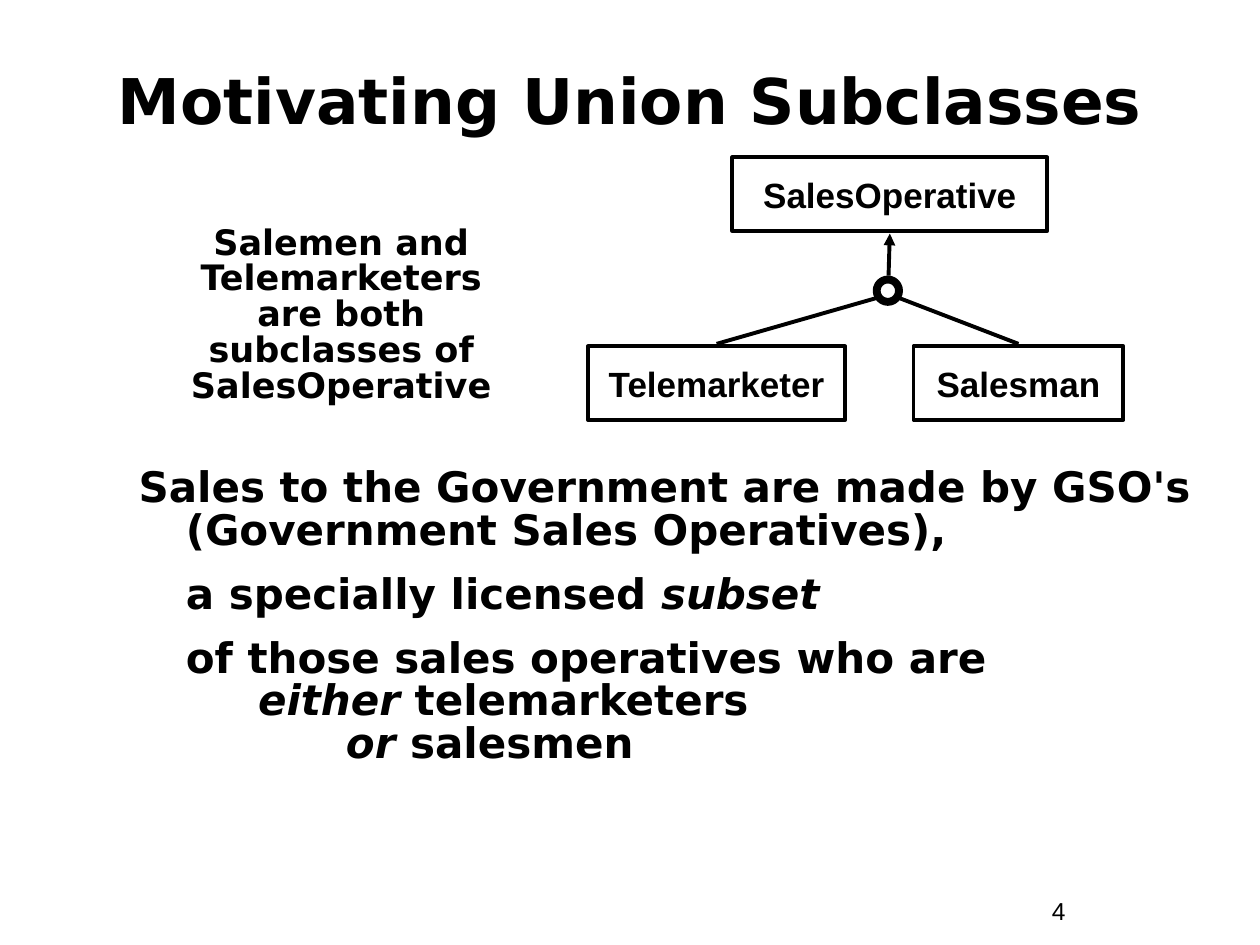
"""Build the slide on motivating union subclasses."""
from dataclasses import dataclass
from typing import NamedTuple

from lxml import etree
from pptx import Presentation
from pptx.dml.color import RGBColor
from pptx.enum.shapes import MSO_CONNECTOR, MSO_SHAPE
from pptx.enum.text import MSO_ANCHOR, MSO_AUTO_SIZE, PP_ALIGN
from pptx.oxml.ns import qn
from pptx.shapes.autoshape import Shape
from pptx.slide import Slide
from pptx.util import Emu, Pt

RECTANGLE, OVAL = MSO_SHAPE.RECTANGLE, MSO_SHAPE.OVAL
STRAIGHT = MSO_CONNECTOR.STRAIGHT
TOP, MIDDLE = MSO_ANCHOR.TOP, MSO_ANCHOR.MIDDLE
LEFT, CENTER = PP_ALIGN.LEFT, PP_ALIGN.CENTER
FIXED = MSO_AUTO_SIZE.NONE
EMU_PER_PX = 9525


@dataclass(frozen=True)
class Theme:
    ink: RGBColor = RGBColor(0, 0, 0)
    heading_font: str = "DejaVu Sans"
    label_font: str = "Arial"
    title_size: int = 36
    body_size: int = 24
    label_size: int = 20
    number_size: int = 14
    line_width: float = 2.25
    ring_width: float = 4.5
    tight: float = 0.85


class Area(NamedTuple):
    left: int
    top: int
    width: int
    height: int

    @property
    def center(self) -> int:
        return self.left + self.width // 2

    @property
    def bottom(self) -> int:
        return self.top + self.height


class Point(NamedTuple):
    x: int
    y: int


class Span(NamedTuple):
    text: str
    italic: bool = False


class Line(NamedTuple):
    spans: tuple[Span, ...]
    margin: int = 0
    indent: int = 0
    before: int = 0


class Style(NamedTuple):
    font: str
    size: int
    bold: bool = True
    align: PP_ALIGN = LEFT
    anchor: MSO_ANCHOR = TOP
    spacing: float = 1.0
    wrap: bool = True


class ClassBox(NamedTuple):
    name: str
    area: Area


THEME = Theme()
TITLE = Style(THEME.heading_font, THEME.title_size, align=CENTER, anchor=MIDDLE)
BODY = Style(THEME.heading_font, THEME.body_size, spacing=THEME.tight)
REMARK = Style(THEME.heading_font, THEME.label_size, align=CENTER, spacing=THEME.tight)
LABEL = Style(THEME.label_font, THEME.label_size, align=CENTER, anchor=MIDDLE, wrap=False)
NUMBER = Style(THEME.label_font, THEME.number_size, bold=False)

PARENT = ClassBox("SalesOperative", Area(558, 120, 240, 56))
CHILDREN = (
    ClassBox("Telemarketer", Area(448, 264, 196, 56)),
    ClassBox("Salesman", Area(696, 264, 160, 56)),
)
RING = Area(668, 213, 17, 17)
STATEMENT = (
    Line((Span("Sales to the Government are made by GSO's (Government Sales Operatives),"),), 36, -36),
    Line((Span("a specially licensed "), Span("subset", True)), 36, before=12),
    Line((Span("of those sales operatives who are"),), 36, before=12),
    Line((Span("either", True), Span(" telemarketers")), 91),
    Line((Span("or", True), Span(" salesmen")), 158),
)


def px(length: int) -> Emu:
    return Emu(length * EMU_PER_PX)


def place(shape: Shape, area: Area) -> None:
    shape.left, shape.top, shape.width, shape.height = map(px, area)


def write(shape: Shape, lines: tuple[Line, ...], style: Style) -> None:
    frame = shape.text_frame
    frame.auto_size = FIXED
    frame.word_wrap = style.wrap
    frame.vertical_anchor = style.anchor
    for index, line in enumerate(lines):
        para = frame.add_paragraph() if index else frame.paragraphs[0]
        para.alignment = style.align
        para.line_spacing = style.spacing
        para.space_before = Pt(line.before)
        properties = para._p.get_or_add_pPr()
        properties.set("marL", str(px(line.margin)))
        properties.set("indent", str(px(line.indent)))
        etree.SubElement(properties, qn("a:buNone"))
        for span in line.spans:
            run = para.add_run()
            run.text = span.text
            run.font.name = style.font
            run.font.size = Pt(style.size)
            run.font.bold = style.bold
            run.font.italic = span.italic
            run.font.color.rgb = THEME.ink


def write_plain(shape: Shape, text: str, style: Style) -> None:
    write(shape, (Line((Span(text),)),), style)


def add_text(slide: Slide, area: Area, text: str, style: Style) -> None:
    write_plain(slide.shapes.add_textbox(*map(px, area)), text, style)


def add_outline(slide: Slide, kind: MSO_SHAPE, area: Area, width: float) -> Shape:
    shape = slide.shapes.add_shape(kind, *map(px, area))
    shape.shadow.inherit = False
    shape.fill.background()
    shape.line.color.rgb = THEME.ink
    shape.line.width = Pt(width)
    return shape


def add_class(slide: Slide, box: ClassBox) -> None:
    shape = add_outline(slide, RECTANGLE, box.area, THEME.line_width)
    write_plain(shape, box.name, LABEL)


def add_link(slide: Slide, start: Point, end: Point, arrow: bool = False) -> None:
    link = slide.shapes.add_connector(STRAIGHT, *map(px, start + end))
    link.line.color.rgb = THEME.ink
    link.line.width = Pt(THEME.line_width)
    if arrow:
        etree.SubElement(link.line._get_or_add_ln(), qn("a:tailEnd"), type="triangle")
    etree.SubElement(link._element.spPr, qn("a:effectLst"))


def main() -> None:
    deck = Presentation()
    deck.slide_width, deck.slide_height = px(960), px(720)
    slide = deck.slides.add_slide(deck.slide_layouts[1])
    title, body = slide.placeholders
    place(title, Area(32, 32, 896, 88))
    write_plain(title, "Motivating Union Subclasses", TITLE)
    place(body, Area(96, 352, 832, 248))
    write(body, STATEMENT, BODY)
    remark = "Salemen and Telemarketers are both subclasses of SalesOperative"
    add_text(slide, Area(128, 168, 264, 146), remark, REMARK)
    add_text(slide, Area(792, 678, 88, 33), "4", NUMBER)

    for box in (PARENT, *CHILDREN):
        add_class(slide, box)
    ring_sides = (RING.left, RING.left + RING.width)
    for child, side in zip(CHILDREN, ring_sides):
        add_link(slide, Point(child.area.center, child.area.top - 2), Point(side, RING.bottom - 3))
    add_outline(slide, OVAL, RING, THEME.ring_width)
    add_link(slide, Point(RING.center + 1, RING.top - 3), Point(PARENT.area.center, PARENT.area.bottom + 2), True)
    deck.save("out.pptx")


if __name__ == "__main__":
    main()
